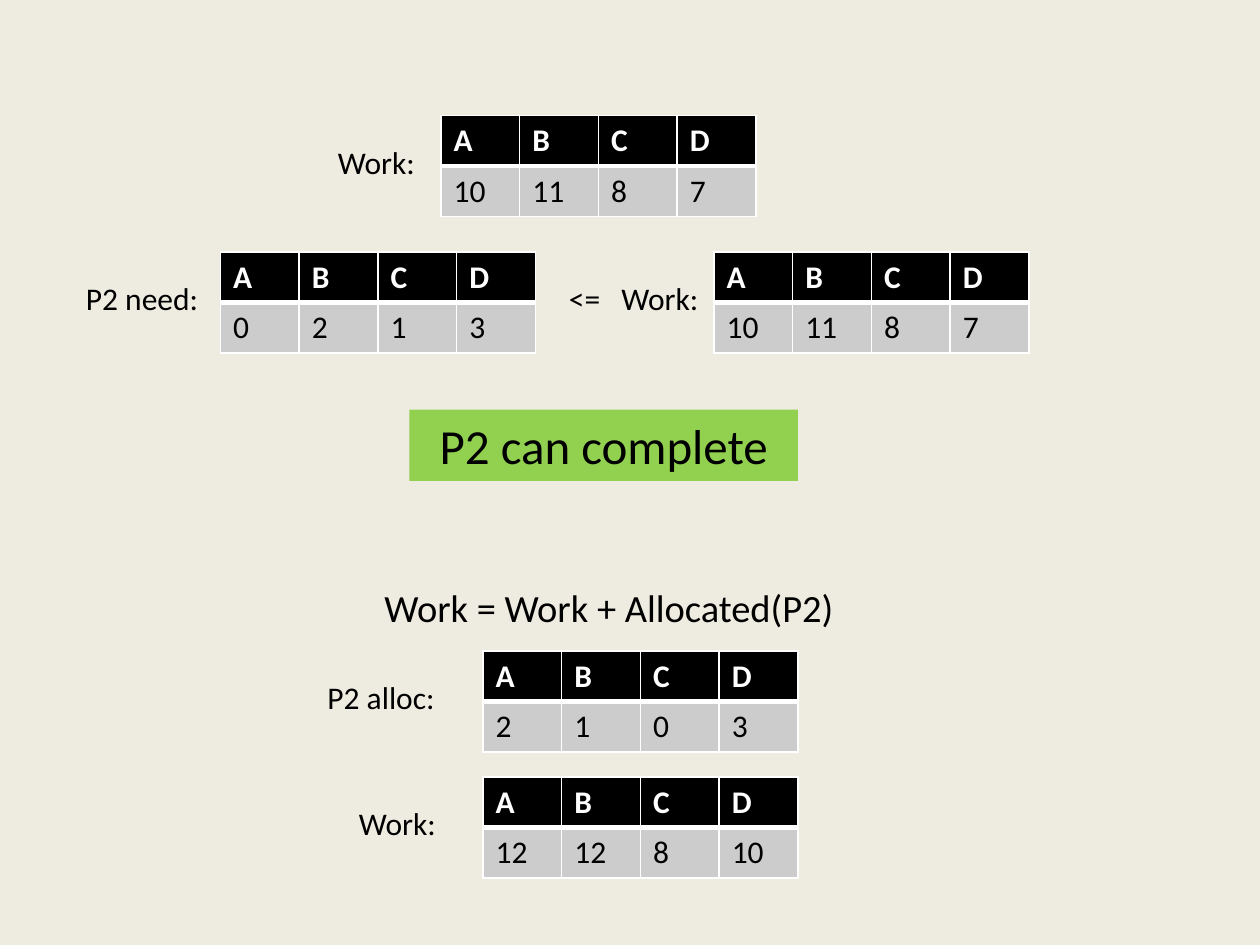
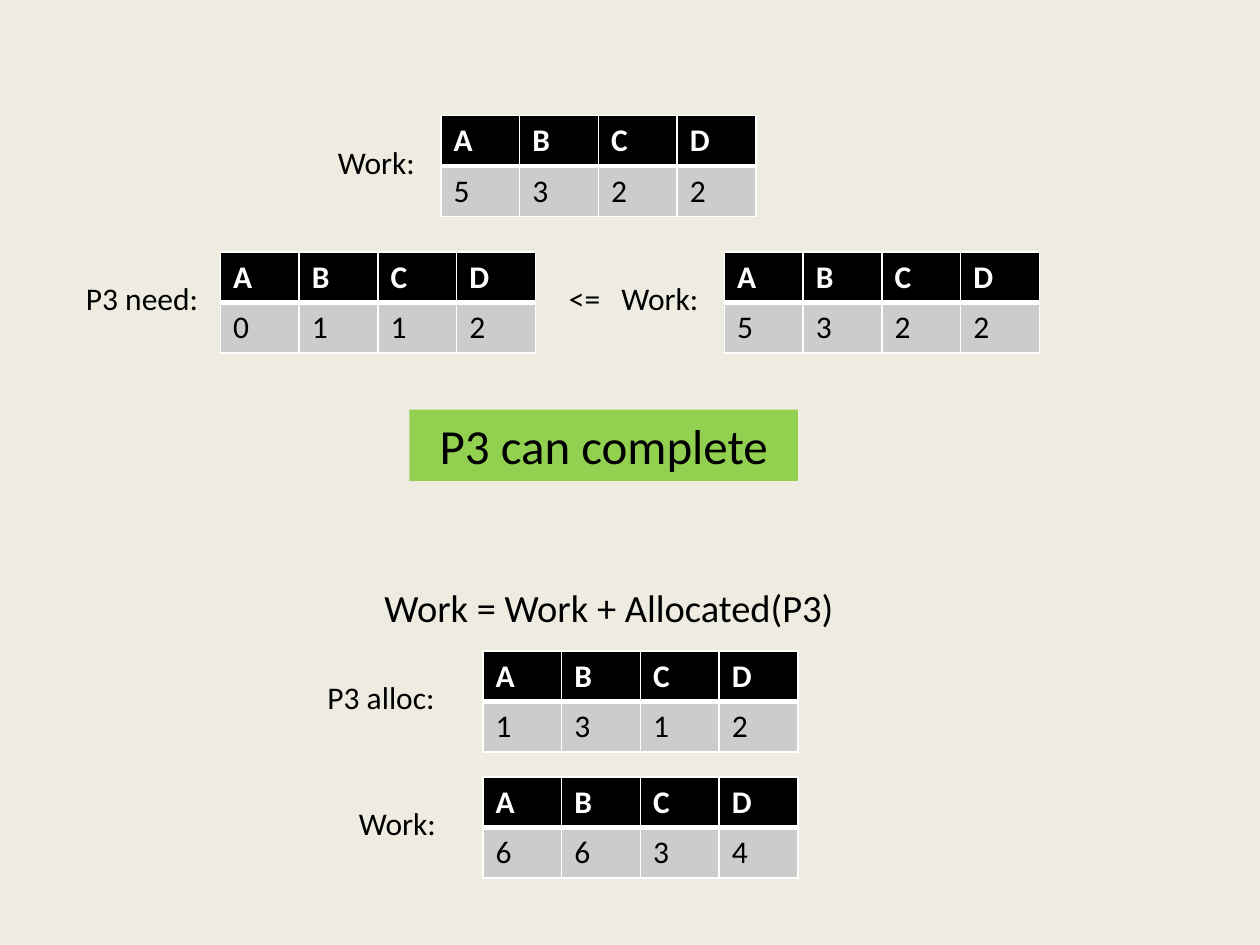
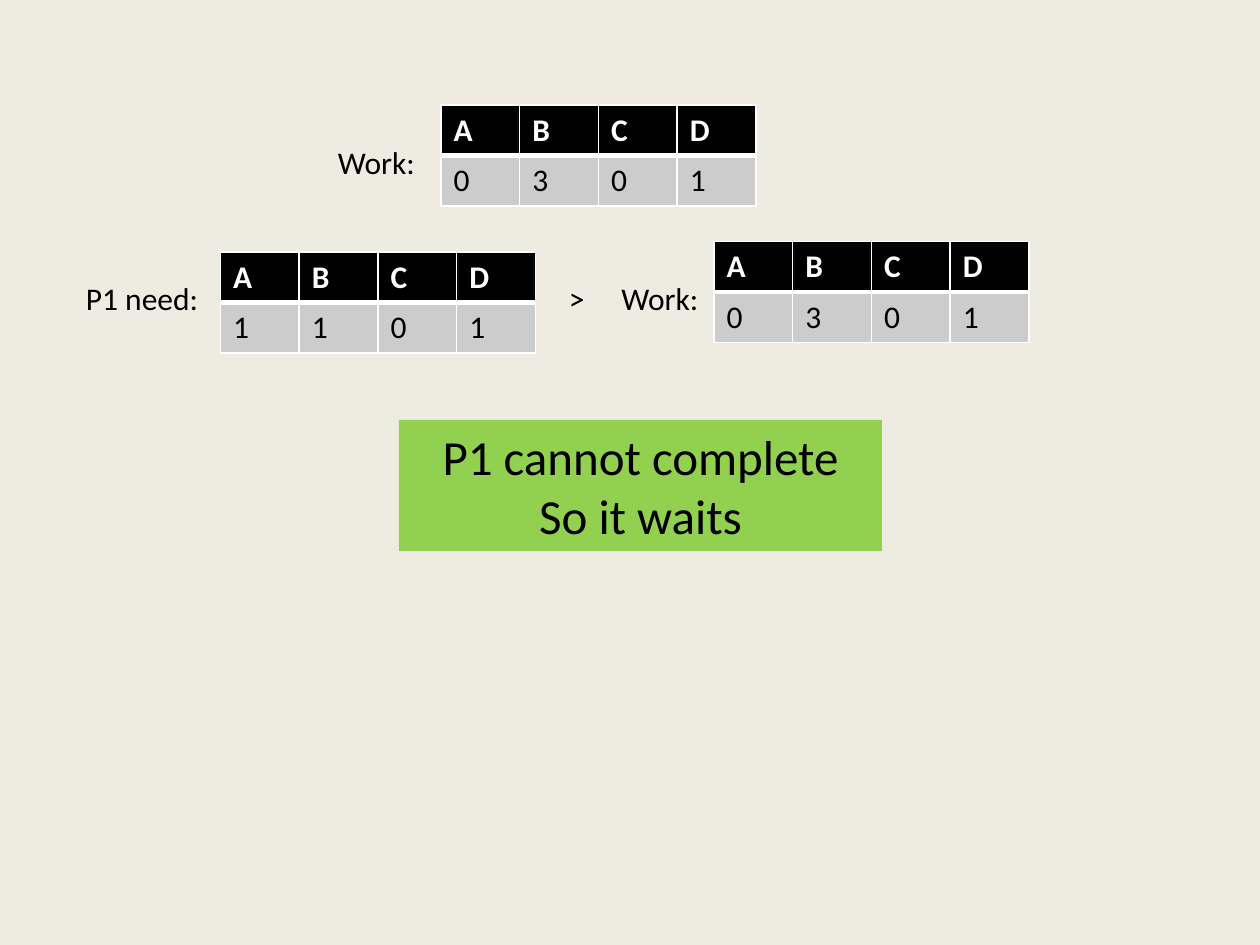
from dataclasses import dataclass
from lxml import etree
from pptx import Presentation, util as u
from pptx.dml.color import RGBColor
from pptx.enum import shapes, text
from pptx.oxml.ns import qn

PX = 7620  # EMU per px: 120 px to the inch
FONT = "Calibri"
BACKGROUND = RGBColor(0xEE, 0xEC, 0xE1)
BLACK = RGBColor(0, 0, 0)
WHITE = RGBColor(0xFF, 0xFF, 0xFF)
GREY = RGBColor(0xCC, 0xCC, 0xCC)
GREEN = RGBColor(0x92, 0xD0, 0x50)

RESOURCES = ("A", "B", "C", "D")
COLUMN, ROW = 75, 48
LABEL_DROP = 20  # label top below table top
SHORT, LONG = 100, 140  # label widths


@dataclass
class Step:
    """One check of the safety algorithm."""
    process: str
    work: tuple
    need: tuple
    relation: str
    verdict: tuple
    verdict_box: tuple = (390, 390, 370, 68)
    work_nudge: tuple = (0, 0)
    compared_nudge: tuple = (0, 0)
    allocated: tuple = ()
    new_work: tuple = ()


def px(*lengths):
    return [u.Emu(length * PX) for length in lengths]


def write(frame, *lines, size=18, color=BLACK, bold=False, align=text.PP_ALIGN.LEFT):
    frame.word_wrap = True
    for index, line in enumerate(lines):
        paragraph = frame.add_paragraph() if index else frame.paragraphs[0]
        paragraph.text = line
        paragraph.alignment = align
        font = paragraph.font
        font.name, font.size, font.bold = FONT, u.Pt(size), bold
        font.color.rgb = color


def add_text(slide, box, *lines, **style):
    shape = slide.shapes.add_textbox(*px(*box))
    write(shape.text_frame, *lines, **style)


def add_banner(slide, box, *lines):
    shape = slide.shapes.add_shape(shapes.MSO_SHAPE.RECTANGLE, *px(*box))
    shape.shadow.inherit = False
    shape.fill.solid()
    shape.fill.fore_color.rgb = GREEN
    shape.line.fill.background()
    shape.text_frame.vertical_anchor = text.MSO_ANCHOR.TOP
    write(shape.text_frame, *lines, size=28, align=text.PP_ALIGN.CENTER)


def set_borders(cell, **widths):
    properties = cell._tc.get_or_add_tcPr()
    for side in "LRTB":
        line = etree.SubElement(properties, qn(f"a:ln{side}"), w=str(u.Pt(widths.get(side, 1))))
        fill = etree.SubElement(line, qn("a:solidFill"))
        etree.SubElement(fill, qn("a:srgbClr"), val=str(WHITE))


def add_vector_table(slide, left, top, values):
    columns = len(RESOURCES)
    table = slide.shapes.add_table(2, columns, *px(left, top, columns * COLUMN, 2 * ROW)).table
    table.horz_banding = False
    looks = (
        (RESOURCES, BLACK, {"color": WHITE, "bold": True}, {"B": 3}),
        (values, GREY, {}, {"T": 3}),
    )
    for row, (entries, fill, style, borders) in enumerate(looks):
        for column, entry in enumerate(entries):
            cell = table.cell(row, column)
            set_borders(cell, **borders)
            cell.fill.solid()
            cell.fill.fore_color.rgb = fill
            write(cell.text_frame, str(entry), **style)


def labelled_vector(slide, left, top, label, width, values, table_left, nudge=(0, 0)):
    """A label with its table, which starts table_left px from the label."""
    add_text(slide, (left, top + LABEL_DROP, width, ROW), label)
    add_vector_table(slide, left + table_left + nudge[0], top + nudge[1], values)


def comparison(slide, left, top, step):
    """Need on the left, relation sign, work on the right."""
    labelled_vector(slide, left, top, f"{step.process} need:", LONG, step.need, 140)
    add_text(slide, (left + 460, top + LABEL_DROP, 60, ROW), step.relation)
    labelled_vector(slide, left + 510, top, "Work:", SHORT, step.work, 100, step.compared_nudge)


def release(slide, left, top, step):
    """Formula above the allocated and the new work vectors."""
    add_text(slide, (left + 20, top, 520, 56), f"Work = Work + Allocated({step.process})",
             size=22, align=text.PP_ALIGN.CENTER)
    labelled_vector(slide, left, top + 70, f"{step.process} alloc:", LONG, step.allocated, 160)
    labelled_vector(slide, left + 30, top + 190, "Work:", SHORT, step.new_work, 130)


def step_slide(presentation, step):
    slide = presentation.slides.add_slide(presentation.slide_layouts[6])
    slide.background.fill.solid()
    slide.background.fill.fore_color.rgb = BACKGROUND
    labelled_vector(slide, 310, 110, "Work:", SHORT, step.work, 110, step.work_nudge)
    comparison(slide, 70, 240, step)
    add_banner(slide, step.verdict_box, *step.verdict)
    if step.allocated:
        release(slide, 300, 550, step)


STEPS = (
    Step("P2", (10, 11, 8, 7), (0, 2, 1, 3), "<=", ("P2 can complete",),
         allocated=(2, 1, 0, 3), new_work=(12, 12, 8, 10)),
    Step("P3", (5, 3, 2, 2), (0, 1, 1, 2), "<=", ("P3 can complete",),
         compared_nudge=(10, 0), allocated=(1, 3, 1, 2), new_work=(6, 6, 3, 4)),
    Step("P1", (0, 3, 0, 1), (1, 1, 0, 1), ">", ("P1 cannot complete", "So it waits"),
         verdict_box=(380, 400, 460, 125), work_nudge=(0, -10), compared_nudge=(0, -10)),
)


def main():
    presentation = Presentation()
    presentation.slide_width, presentation.slide_height = px(1200, 900)
    for step in STEPS:
        step_slide(presentation, step)
    presentation.save("out.pptx")


if __name__ == "__main__":
    main()
